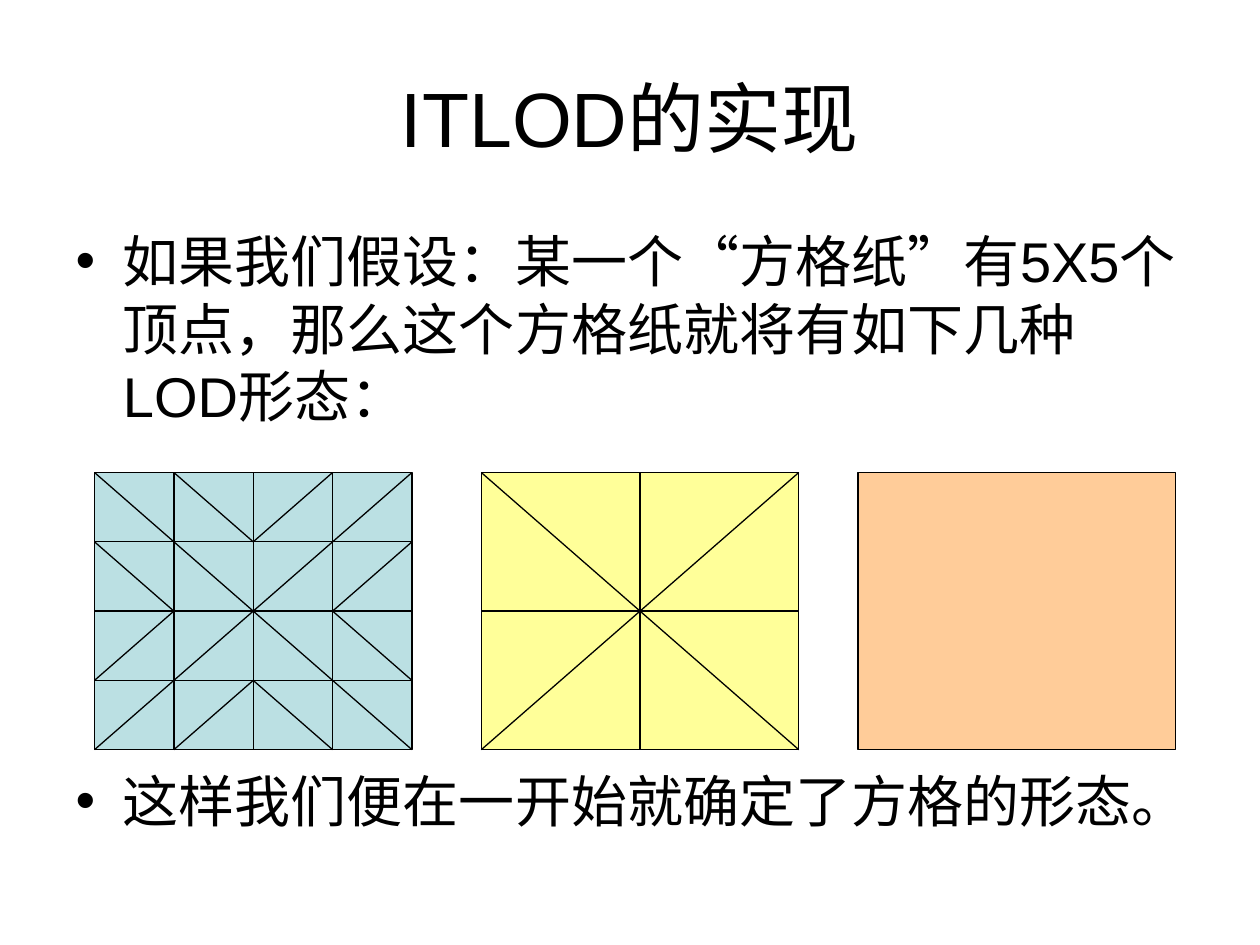
from dataclasses import dataclass

from lxml.etree import SubElement
from pptx import Presentation
from pptx.dml.color import RGBColor
from pptx.enum.shapes import MSO_CONNECTOR as Connector, MSO_SHAPE as Shape
from pptx.enum.text import MSO_ANCHOR as Anchor, MSO_AUTO_SIZE as AutoSize, PP_ALIGN as Align
from pptx.oxml.ns import qn
from pptx.util import Emu, Pt

EMU_PER_PX = 9144
FONT = "Arial"
BLACK = RGBColor(0x00, 0x00, 0x00)
BLUE = RGBColor(0xBB, 0xE0, 0xE3)
YELLOW = RGBColor(0xFF, 0xFF, 0x99)
ORANGE = RGBColor(0xFF, 0xCC, 0x99)
TOP, LEFT, BOTTOM, RIGHT = range(4)
PANEL_TOP, PANEL_WIDTH, PANEL_HEIGHT = 375, 252, 220

Point = tuple[int, int]
Segment = tuple[Point, Point]


@dataclass(frozen=True)
class Panel:
    left: int
    fill: RGBColor
    cells: int
    diagonals: tuple[Segment, ...] = ()

    def at(self, point: Point) -> Point:
        column, row = point
        return (self.left + column * PANEL_WIDTH // self.cells,
                PANEL_TOP + row * PANEL_HEIGHT // self.cells)


@dataclass(frozen=True)
class Bullet:
    text: str
    space_before: int


PANELS = (
    Panel(75, BLUE, 4, (
        ((0, 0), (4, 4)), ((0, 4), (4, 0)),
        ((0, 1), (1, 2)), ((0, 3), (1, 2)),
        ((1, 0), (2, 1)), ((2, 1), (3, 0)),
        ((1, 4), (2, 3)), ((2, 3), (3, 4)),
        ((3, 2), (4, 1)), ((3, 2), (4, 3)),
    )),
    Panel(382, YELLOW, 2, (((0, 0), (2, 2)), ((0, 2), (2, 0)))),
    Panel(681, ORANGE, 1),
)

BULLETS = (
    Bullet("如果我们假设：某一个“方格纸”有5X5个顶点，那么这个方格纸就将有如下几种LOD形态：", 8),
    Bullet("这样我们便在一开始就确定了方格的形态。", 193),
)


def px(length: int) -> Emu:
    return Emu(length * EMU_PER_PX)


def place(box, left: int, top: int, width: int, height: int) -> None:
    box.left, box.top, box.width, box.height = map(px, (left, top, width, height))


def add_span(para, text: str, size: int) -> None:
    span = para.add_run()
    span.text = text
    span.font.name = FONT
    span.font.size = Pt(size)
    span.font.color.rgb = BLACK


def style_line(line) -> None:
    line.color.rgb = BLACK
    line.width = Pt(0.75)


def add_line(shapes, panel: Panel, segment: Segment):
    start, end = map(panel.at, segment)
    connector = shapes.add_connector(Connector.STRAIGHT, *map(px, start + end))
    style_line(connector.line)
    SubElement(connector._element.spPr, qn("a:effectLst"))
    return connector


def join(connector, box, begin_side: int, end_side: int) -> None:
    connector.begin_connect(box, begin_side)
    connector.end_connect(box, end_side)


def add_panel(shapes, panel: Panel) -> None:
    box = shapes.add_shape(Shape.RECTANGLE, *map(
        px, (panel.left, PANEL_TOP, PANEL_WIDTH, PANEL_HEIGHT)))
    box.shadow.inherit = False
    box.fill.solid()
    box.fill.fore_color.rgb = panel.fill
    style_line(box.line)
    for step in range(1, panel.cells):
        across = add_line(shapes, panel, ((0, step), (panel.cells, step)))
        down = add_line(shapes, panel, ((step, 0), (step, panel.cells)))
        if step * 2 == panel.cells:
            join(across, box, LEFT, RIGHT)
            join(down, box, TOP, BOTTOM)
    for diagonal in panel.diagonals:
        add_line(shapes, panel, diagonal)


def fill_title(box) -> None:
    place(box, 50, 30, 900, 125)
    box.text_frame.vertical_anchor = Anchor.MIDDLE
    para = box.text_frame.paragraphs[0]
    para.alignment = Align.CENTER
    add_span(para, "ITLOD的实现", 44)


def fill_body(box, bullets: tuple[Bullet, ...]) -> None:
    place(box, 50, 175, 900, 547)
    frame = box.text_frame
    frame.auto_size = AutoSize.NONE
    for index, bullet in enumerate(bullets):
        para = frame.add_paragraph() if index else frame.paragraphs[0]
        para.space_before = Pt(bullet.space_before)
        add_span(para, bullet.text, 32)


def main() -> None:
    deck = Presentation()
    deck.slide_width, deck.slide_height = px(1000), px(750)
    page = deck.slides.add_slide(deck.slide_layouts[1])
    fill_title(page.shapes.title)
    fill_body(page.placeholders[1], BULLETS)
    for panel in PANELS:
        add_panel(page.shapes, panel)
    deck.save("out.pptx")


if __name__ == "__main__":
    main()
